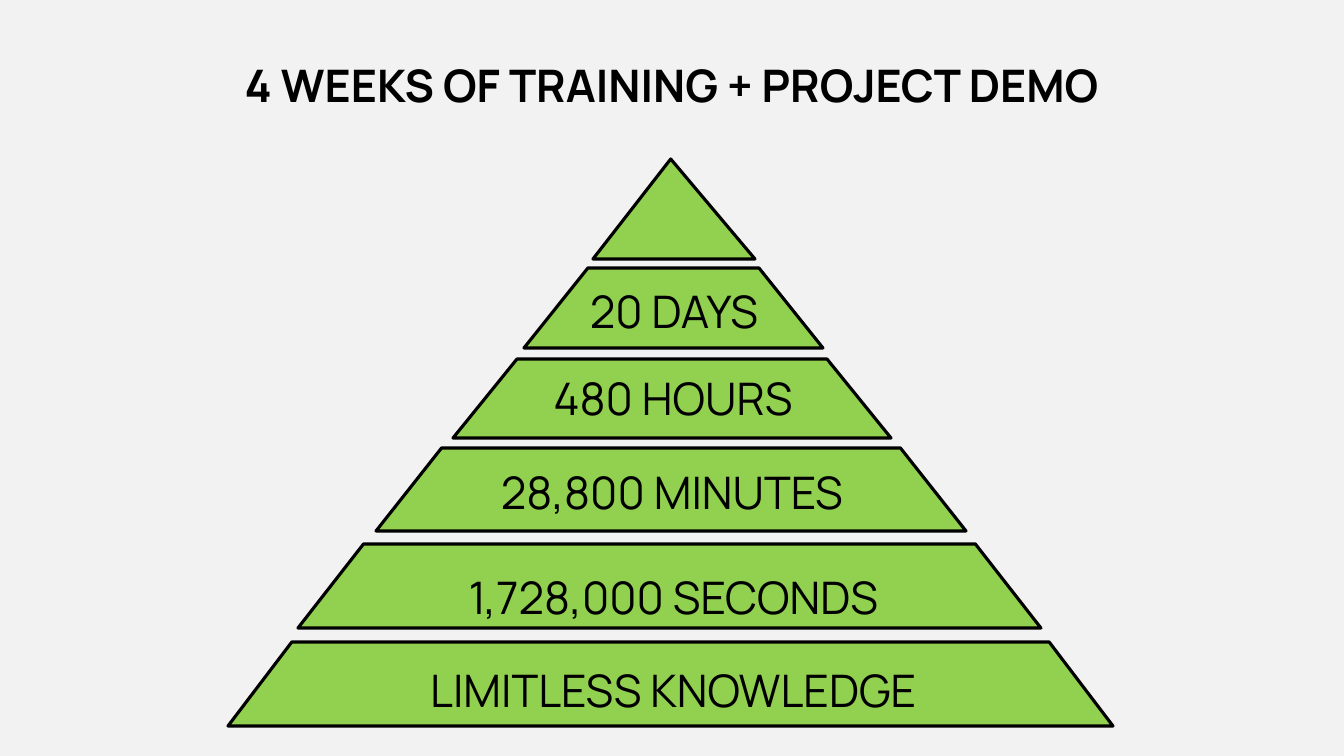
from pptx import Presentation
from pptx.dml.color import RGBColor as RGB
from pptx.enum.shapes import MSO_SHAPE as Shape
from pptx.enum.text import MSO_ANCHOR as Anchor, MSO_AUTO_SIZE as Auto, PP_ALIGN as Align
from pptx.util import Pt

PX = 914400 / 100.8
HEX = {"back": "F2F2F2", "green": "92D050", "black": "000000"}


def emu(*vals):
    return [round(val * PX) for val in vals]


def write(box, text, pads, look, lead, bold=False):
    frame = box.text_frame
    frame.text = text
    sides = ("margin_left", "margin_top", "margin_right", "margin_bottom")
    for key, val in {**dict(zip(sides, emu(*pads))), "word_wrap": True, **look}.items():
        setattr(frame, key, val)
    para = frame.paragraphs[0]
    para.alignment = Align.CENTER
    para.line_spacing = lead
    font = para.runs[0].font
    for key, val in {"name": "Manrope", "size": Pt(32), "bold": bold}.items():
        setattr(font, key, val)
    font.color.rgb = RGB.from_string(HEX["black"])


deck = Presentation()
deck.slide_width, deck.slide_height = emu(1344, 756)
slide = deck.slides.add_slide(deck.slide_layouts[5])
slide.background.fill.solid()
slide.background.fill.fore_color.rgb = RGB.from_string(HEX["back"])

# Two text styles: centred in a tall box, or fitted to one line
TALL = {"vertical_anchor": Anchor.MIDDLE, "auto_size": Auto.NONE}
FIT = {"vertical_anchor": Anchor.TOP, "auto_size": Auto.SHAPE_TO_FIT_TEXT}

# Title
title = slide.shapes.title
title.left, title.top, title.width, title.height = emu(0, 24, 1344, 169)
write(title, "4 WEEKS OF TRAINING + PROJECT DEMO", (0, 0, 0, 53), TALL, 1.1, True)

# Pyramid tiers, top to bottom: kind, left, top, width, height, slant
tiers = [
    (Shape.ISOSCELES_TRIANGLE, 593, 159, 162, 100, 0.48),
    (Shape.TRAPEZOID, 524, 268, 299, 80, 0.8),
    (Shape.TRAPEZOID, 453, 359, 438, 79, 0.81),
    (Shape.TRAPEZOID, 376, 448, 590, 83, 0.79),
    (Shape.TRAPEZOID, 298, 544, 743, 84, 0.78),
    (Shape.TRAPEZOID, 228, 642, 885, 84, 0.76),
]
for kind, *area, slant in tiers:
    tier = slide.shapes.add_shape(kind, *emu(*area))
    tier.adjustments[0] = slant
    tier.shadow.inherit = False
    tier.fill.solid()
    tier.fill.fore_color.rgb = RGB.from_string(HEX["green"])
    tier.line.color.rgb = RGB.from_string(HEX["black"])
    tier.line.width = Pt(2.25)

# Labels: text, left, top, width, height, style, filled
labels = [
    ("20 DAYS", 552, 279, 244, 65, FIT, False),
    ("480 HOURS", 524, 366, 298, 65, FIT, True),
    ("28,800 MINUTES", 453, 460, 438, 65, FIT, True),
    ("1,728,000 SECONDS", 180, 524, 987, 139, TALL, False),
    ("LIMITLESS KNOWLEDGE", 180, 617, 987, 139, TALL, False),
]
for text, *area, look, filled in labels:
    label = slide.shapes.add_textbox(*emu(*area))
    if filled:
        label.fill.solid()
        label.fill.fore_color.rgb = RGB.from_string(HEX["green"])
    pads, lead = ((10, 5, 10, 5), 1.0) if look is FIT else ((0, 0, 0, 0), 1.1)
    write(label, text, pads, look, lead)

deck.save("out.pptx")
